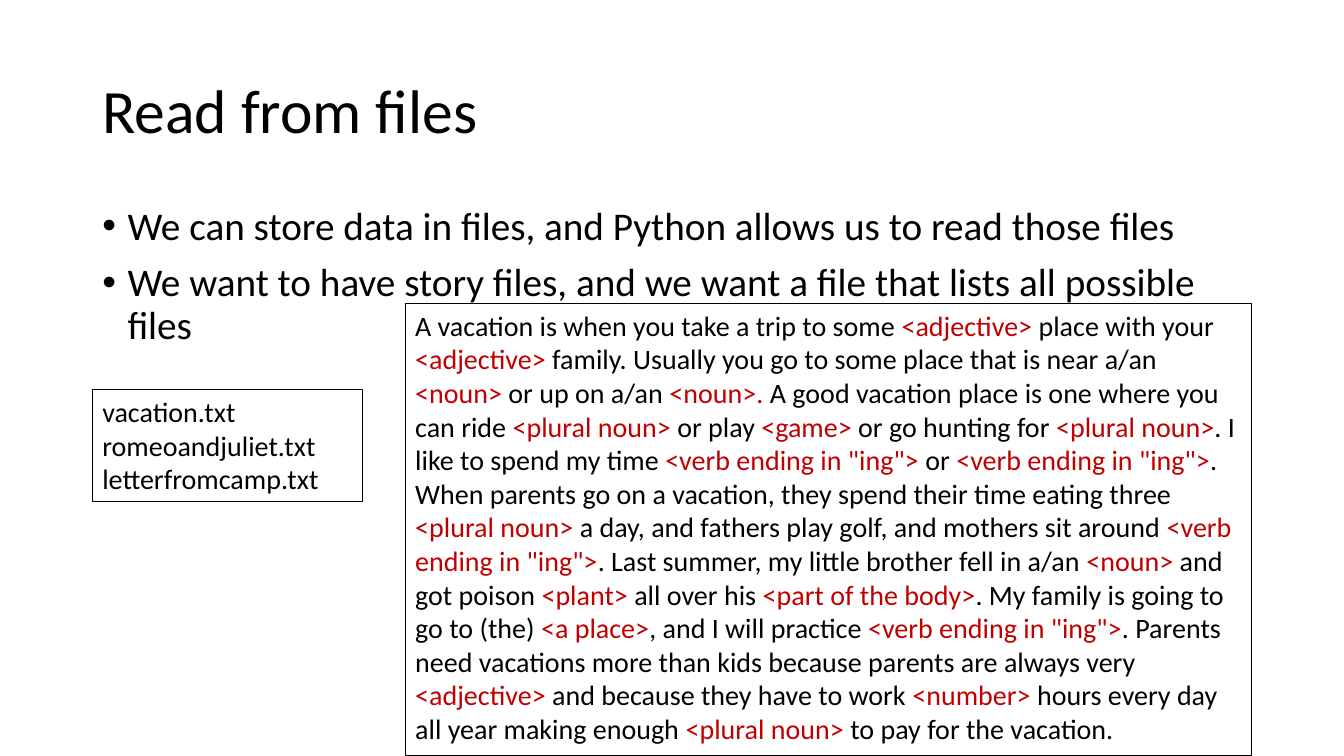
import dataclasses
import pptx
import pptx.dml.color
import pptx.enum.shapes
import pptx.enum.text
import pptx.util
from lxml import etree


@dataclasses.dataclass(frozen=True)
class Theme:
    font: str = "Calibri"
    text: str = "000000"
    accent: str = "C00000"
    background: str = "FFFFFF"
    title: int = 44
    body: int = 28
    box: int = 20
    border: float = 0.75


THEME = Theme()
COLS, ROWS = 160, 90  # grid cells of 1/12 inch

TITLE = "Read from files"
BULLETS = [
    "We can store data in files, and Python allows us to read those files",
    "We want to have story files, and we want a file that lists all possible files",
]
FILES = ["vacation.txt", "romeoandjuliet.txt", "letterfromcamp.txt"]
# Sentences; bars enclose the blanks to be filled in, which take the accent colour
STORY = [
    "A vacation is when you take a trip to some |<adjective>| place with your "
    "|<adjective>| family.",
    "Usually you go to some place that is near a/an |<noun>| or up on a/an |<noun>.|",
    "A good vacation place is one where you can ride |<plural noun>| or play "
    "|<game>| or go hunting for |<plural noun>|.",
    "I like to spend my time |<verb ending in \"ing\">| or "
    "|<verb ending in \"ing\">|.",
    "When parents go on a vacation, they spend their time eating three "
    "|<plural noun>| a day, and fathers play golf, and mothers sit around "
    "|<verb ending in \"ing\">|.",
    "Last summer, my little brother fell in a/an |<noun>| and got poison "
    "|<plant>| all over his |<part of the body>|.",
    "My family is going to go to (the) |<a place>|, and I will practice "
    "|<verb ending in \"ing\">|.",
    "Parents need vacations more than kids because parents are always very "
    "|<adjective>| and because they have to work |<number>| hours every day "
    "all year making enough |<plural noun>| to pay for the vacation.",
]


def rgb(value):
    return pptx.dml.color.RGBColor.from_string(value)


def to_emu(box):
    """Turn columns and rows into slide lengths."""
    x, y, w, h = box
    cw, rh = prs.slide_width / COLS, prs.slide_height / ROWS
    return round(x * cw), round(y * rh), round(w * cw), round(h * rh)


def write(tf, lines, size):
    """One paragraph per line, with a run for each piece between bars."""
    tf.word_wrap = True
    for i, line in enumerate(lines):
        p = tf.paragraphs[0] if i == 0 else tf.add_paragraph()
        p.alignment = pptx.enum.text.PP_ALIGN.LEFT
        for j, piece in enumerate(line.split("|")):
            r = p.add_run()
            r.text = piece
            r.font.name = THEME.font
            r.font.size = pptx.util.Pt(size)
            r.font.color.rgb = rgb(THEME.accent if j % 2 else THEME.text)


def add_title(s, box):
    tf = s.shapes.add_textbox(*to_emu(box)).text_frame
    write(tf, [TITLE], THEME.title)
    tf.vertical_anchor = pptx.enum.text.MSO_ANCHOR.MIDDLE
    tf.paragraphs[0].line_spacing = 0.9


def add_bullets(s, box):
    tf = s.shapes.add_textbox(*to_emu(box)).text_frame
    write(tf, BULLETS, THEME.body)
    indent = pptx.util.Inches(0.25)
    for p in tf.paragraphs:
        p.line_spacing = 0.9
        p.space_before = pptx.util.Pt(10)
        pPr = p._p.get_or_add_pPr()
        pPr.set("marL", str(indent))
        pPr.set("indent", str(-indent))
        qn = pptx.oxml.ns.qn
        etree.SubElement(pPr, qn("a:buFont")).set("typeface", "Arial")
        etree.SubElement(pPr, qn("a:buChar")).set("char", "•")


def add_file_box(s, box, lines):
    """Outlined box showing the contents of a text file."""
    sp = s.shapes.add_shape(pptx.enum.shapes.MSO_SHAPE.RECTANGLE, *to_emu(box))
    sp.shadow.inherit = False
    sp.fill.background()
    sp.line.color.rgb = rgb(THEME.text)
    sp.line.width = pptx.util.Pt(THEME.border)
    tf = sp.text_frame
    write(tf, lines, THEME.box)
    tf.vertical_anchor = pptx.enum.text.MSO_ANCHOR.TOP
    tf.auto_size = pptx.enum.text.MSO_AUTO_SIZE.SHAPE_TO_FIT_TEXT


prs = pptx.Presentation()
prs.slide_width = pptx.util.Inches(13.33)
prs.slide_height = pptx.util.Inches(7.5)
s = prs.slides.add_slide(prs.slide_layouts[6])
s.background.fill.solid()
s.background.fill.fore_color.rgb = rgb(THEME.background)

# Heading and points
add_title(s, (11, 4.8, 138, 17.4))
add_bullets(s, (11, 24, 138, 57.1))
# List of story files, and one story
add_file_box(s, (11, 46.4, 32.2, 13.3), FILES)
add_file_box(s, (48.25, 36.1, 100.7, 53.8), [" ".join(STORY)])

prs.save("out.pptx")
